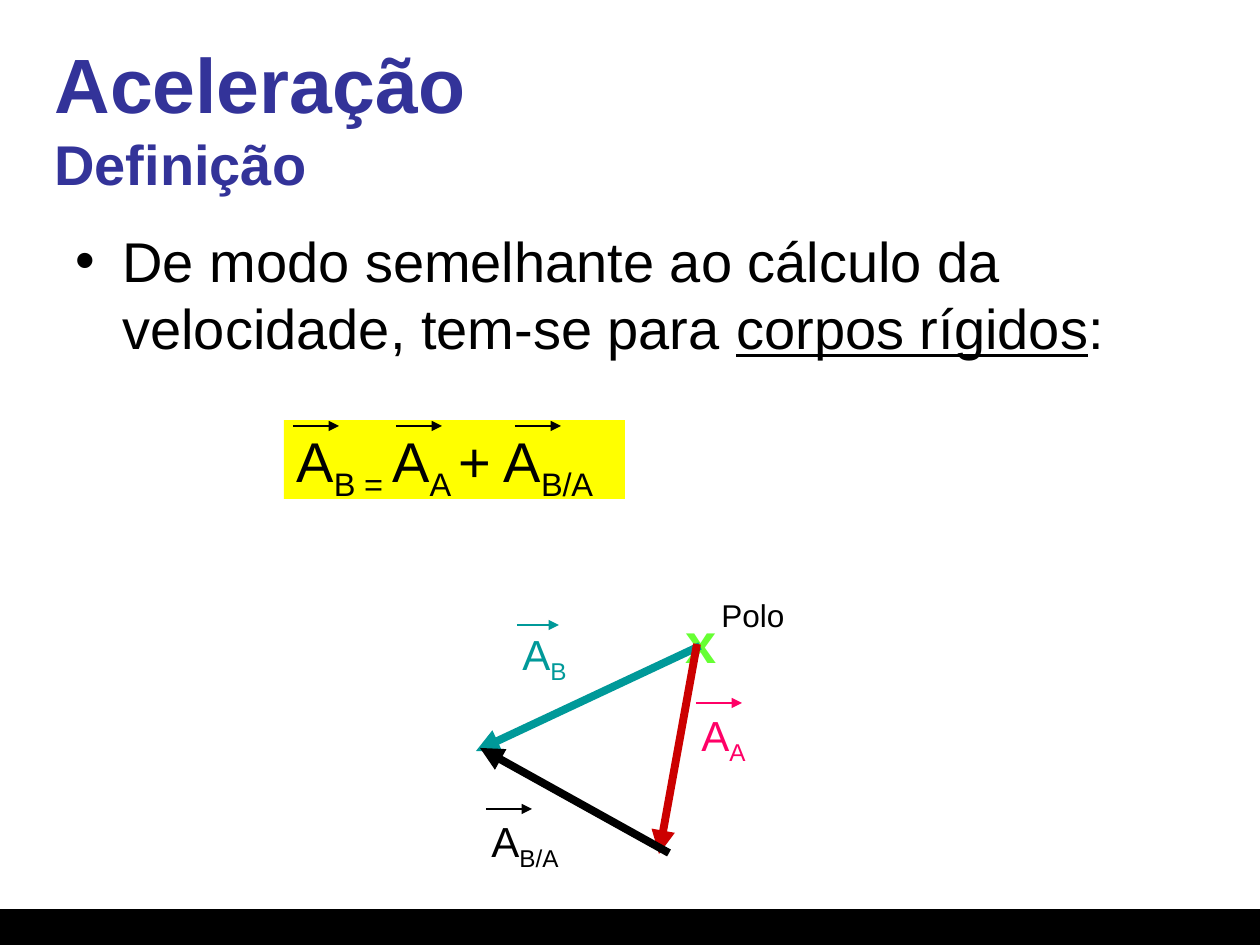
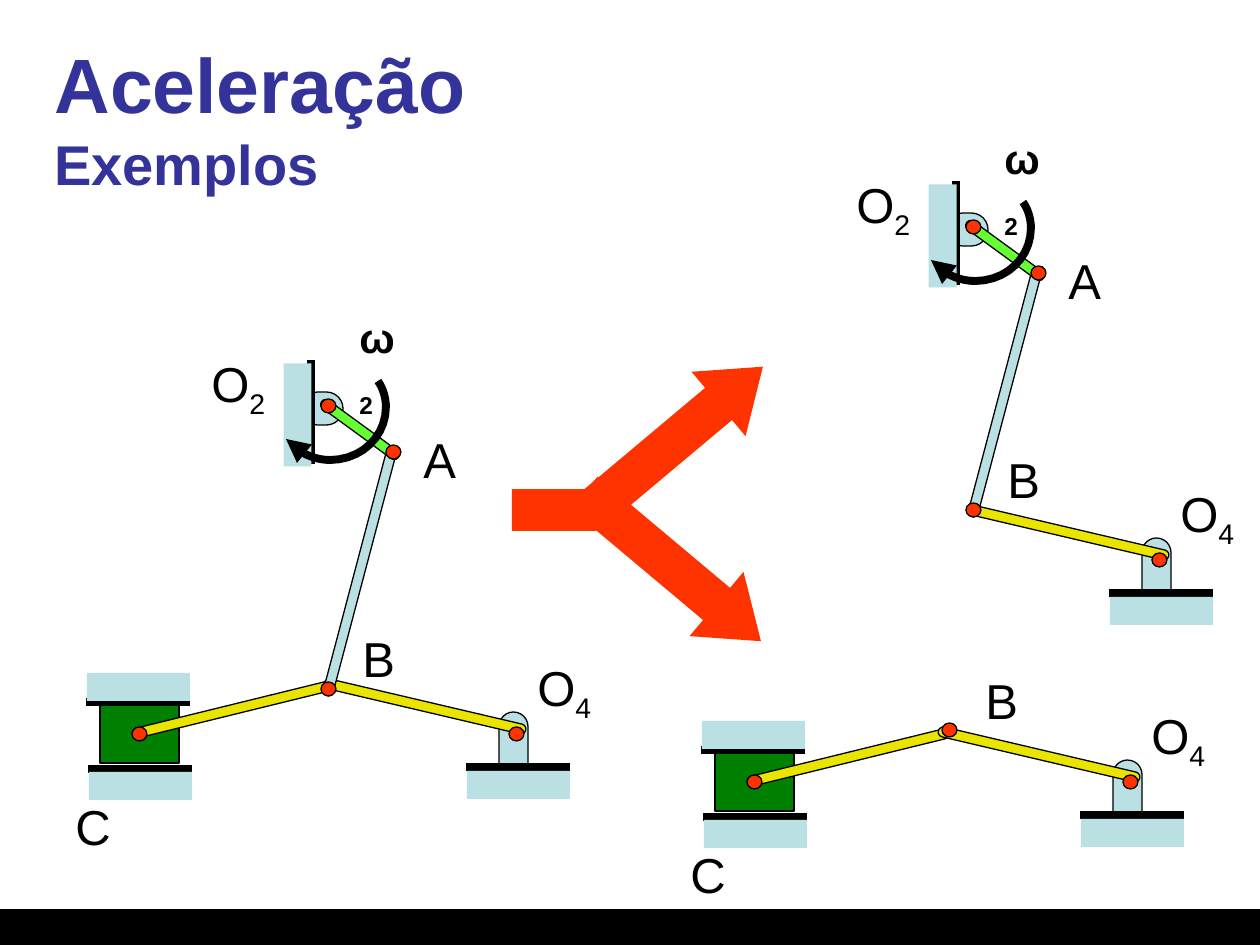
"""Two slides on acceleration: the vector definition and linkage examples."""
from lxml import etree
from pptx import Presentation
from pptx import util as u
from pptx.dml.color import RGBColor
from pptx.enum import shapes, text
from pptx.oxml.ns import qn

SCALE = 914400 / 126
FONT = "Arial"
COLORS = {
    "ink": "000000", "title": "333399", "paper": "FFFFFF", "formula": "FFFF00",
    "pole": "66FF33", "teal": "009999", "pink": "FF0066", "red": "CC0000",
    "steel": "BBE0E3", "crank": "66FF33", "joint": "FF3300", "rod": "E9E400",
    "piston": "008000",
}
KIND = shapes.MSO_SHAPE


def px(value):
    """Turn pixels into EMU."""
    return u.Emu(round(value * SCALE))


def color(name):
    """Look up a colour by name."""
    return RGBColor.from_string(COLORS[name])


def put_shape(page, kind, x, y, w, h, fill, outline=False, turn=0, adjust=()):
    """Add a preset shape with a flat fill and an optional thin outline."""
    shape = page.shapes.add_shape(kind, px(x), px(y), px(w), px(h))
    shape.shadow.inherit = False
    shape.rotation = turn
    for index, value in enumerate(adjust):
        shape.adjustments[index] = value
    shape.fill.solid()
    shape.fill.fore_color.rgb = color(fill)
    if outline:
        shape.line.color.rgb = color("ink")
        shape.line.width = u.Pt(0.75)
    else:
        shape.line.fill.background()
    return shape


def put_line(page, x1, y1, x2, y2, ink="ink", width=4.5, arrow=False):
    """Add a straight line, with an arrowhead at its end if asked."""
    line = page.shapes.add_connector(
        shapes.MSO_CONNECTOR.STRAIGHT, px(x1), px(y1), px(x2), px(y2))
    line.line.color.rgb = color(ink)
    line.line.width = u.Pt(width)
    if arrow:
        etree.SubElement(line.line._get_or_add_ln(), qn("a:tailEnd"), type="triangle")
    etree.SubElement(line._element.spPr, qn("a:effectLst"))


def add_span(para, words, size, ink="ink", bold=False, sub=False, underline=False):
    """Add one run of text to a paragraph."""
    span = para.add_run()
    span.text = words
    span.font.name = FONT
    span.font.size = u.Pt(size)
    span.font.bold = bold
    span.font.underline = underline
    span.font.color.rgb = color(ink)
    if sub:
        span._r.get_or_add_rPr().set("baseline", "-25000")


def fill_label(box, parts, size, ink="ink", bold=False, wrap=False):
    """Write parts that alternate between normal text and subscript."""
    frame = box.text_frame
    frame.word_wrap = wrap
    if not wrap:
        frame.auto_size = text.MSO_AUTO_SIZE.SHAPE_TO_FIT_TEXT
    frame.vertical_anchor = text.MSO_ANCHOR.TOP
    para = frame.paragraphs[0]
    para.alignment = text.PP_ALIGN.LEFT
    for index, words in enumerate(parts):
        add_span(para, words, size, ink, bold, sub=index % 2 == 1)


def put_label(page, x, y, w, h, parts, size=28, ink="ink", bold=False, wrap=False):
    """Add a text label with optional subscript."""
    box = page.shapes.add_textbox(px(x), px(y), px(w), px(h))
    fill_label(box, parts, size, ink, bold, wrap)


def new_page(deck, subtitle):
    """Add a slide with the shared title and bottom band."""
    page = deck.slides.add_slide(deck.slide_layouts[6])
    put_shape(page, KIND.RECTANGLE, 0, 910, 1260, 35, "ink", outline=True)
    box = page.shapes.add_textbox(px(42), px(38), px(1176), px(157))
    frame = box.text_frame
    frame.word_wrap = True
    frame.vertical_anchor = text.MSO_ANCHOR.MIDDLE
    para = frame.paragraphs[0]
    add_span(para, "Aceleração", 44, "title", bold=True)
    para.add_line_break()
    add_span(para, subtitle, 32, "title", bold=True)
    return page


def put_body(page, x, y, w, h):
    """Place the bulleted statement."""
    frame = page.shapes.add_textbox(px(x), px(y), px(w), px(h)).text_frame
    frame.word_wrap = True
    para = frame.paragraphs[0]
    para.space_before = u.Pt(6.4)
    props = para._p.get_or_add_pPr()
    props.set("marL", str(px(47)))
    props.set("indent", str(px(-47)))
    etree.SubElement(props, qn("a:buFont"), typeface=FONT)
    etree.SubElement(props, qn("a:buChar"), char="•")
    add_span(para, "De modo semelhante ao cálculo da velocidade, tem-se para ", 32)
    add_span(para, "corpos rígidos", 32, underline=True)
    add_span(para, ":", 32)


def put_formula(page, x, y, w, h):
    """Place the highlighted vector sum with an arrow over each term."""
    box = put_shape(page, KIND.RECTANGLE, x, y, w, h, "formula")
    fill_label(box, ["A", "B = ", "A", "A ", "+ A", "B/A"], 32)
    for start in (9, 112, 231):
        put_line(page, x + start, y + 6, x + start + 46, y + 6, width=0.75, arrow=True)


def put_vector_name(page, x, y, w, sub, ink, rise=0, length=46):
    """Place a vector name with its small arrow on top."""
    put_label(page, x, y, w, 63, ["A", sub], 24, ink)
    put_line(page, x + 7, y + rise, x + 7 + length, y + rise, ink, 0.75, arrow=True)


def put_triangle(page, x, y):
    """Place the triangle of acceleration vectors."""
    put_label(page, x + 194, y + 11, 57, 79, ["x"], 32, "pole", bold=True)
    put_vector_name(page, x + 31, y + 32, 72, "B", "teal", rise=3, length=42)
    put_vector_name(page, x + 210, y + 113, 72, "A", "pink")
    put_vector_name(page, x, y + 219, 98, "B/A", "ink")
    put_label(page, x + 230, y, 88, 50, ["Polo"], 18)
    put_line(page, x + 221, y + 56, x - 3, y + 161, "teal", arrow=True)
    put_line(page, x + 218, y + 54, x + 180, y + 264, "red", arrow=True)
    put_line(page, x + 190, y + 263, x + 1, y + 158, arrow=True)


def put_bar(page, x, y, length, fill, turn, width=10):
    """Place a round-ended bar, turned about its centre."""
    put_shape(page, KIND.ROUNDED_RECTANGLE, x, y, width, length, fill, True, turn, [0.5])


def put_joint(page, x, y):
    """Place a pin joint."""
    put_shape(page, KIND.OVAL, x, y, 15, 14, "joint", outline=True)


def put_wall(page, x, y, turn=0):
    """Place a block of fixed ground."""
    put_shape(page, KIND.RECTANGLE, x, y, 103, 28, "steel", turn=turn)


def bezier(p0, p1, p2, p3, steps=10):
    """Return points along a cubic curve after its start."""
    points = []
    for step in range(1, steps + 1):
        t = step / steps
        weights = ((1 - t) ** 3, 3 * t * (1 - t) ** 2, 3 * t * t * (1 - t), t ** 3)
        points.append(tuple(
            sum(k * p[axis] for k, p in zip(weights, (p0, p1, p2, p3))) for axis in (0, 1)))
    return points


def put_rotation(page, x, y):
    """Place the curved arrow of the crank's rotation."""
    knots = [(0, 58), (10, 71), (28, 79), (44, 79), (76, 79), (100, 55),
             (100, 26), (100, 17), (97, 7), (92, 0)]
    points = [p for i in (0, 3, 6) for p in bezier(*knots[i:i + 4])]
    builder = page.shapes.build_freeform(px(x), px(y + 58), scale=1.0)
    builder.add_line_segments([(px(x + a), px(y + b)) for a, b in points], close=False)
    arc = builder.convert_to_shape()
    arc.shadow.inherit = False
    arc.fill.background()
    arc.line.color.rgb = color("ink")
    arc.line.width = u.Pt(4.5)
    etree.SubElement(arc.line._get_or_add_ln(), qn("a:headEnd"), type="triangle")


def put_crank(page, x, y):
    """Place the driven crank O2-A and the coupler A-B."""
    put_shape(page, KIND.ROUNDED_RECTANGLE, x + 102, y + 87, 42, 33, "steel", True,
              adjust=[0.5])
    put_bar(page, x + 156, y + 137, 258, "steel", 14.8)
    put_bar(page, x + 156, y + 77, 95, "crank", 306.1)
    put_line(page, x + 112, y + 55, x + 112, y + 159)
    put_wall(page, x + 47, y + 96, turn=90)
    for left, top in ((122, 94), (122, 377), (187, 140)):
        put_joint(page, x + left, y + top)
    for left, top, width, parts in ((0, 42, 82, ["O", "2"]), (212, 118, 58, ["A"])):
        box = put_shape(page, KIND.RECTANGLE, x + left, y + top, width, 72, "paper")
        fill_label(box, parts, 28)
    put_label(page, x + 151, y + 317, 58, 72, ["B"])
    put_rotation(page, x + 87, y + 76)
    put_label(page, x + 148, y, 67, 63, ["ω", "2"], 24, bold=True, wrap=True)


def put_rocker(page, x, y):
    """Place the rocker B-O4 and its support."""
    put_bar(page, x + 178, y + 61, 82, "steel", 0, width=29)
    put_line(page, x + 145, y + 116, x + 249, y + 116)
    put_wall(page, x + 146, y + 120)
    put_bar(page, x + 99, y - 48, 207, "rod", 283.2)
    put_joint(page, x + 188, y + 76)
    put_label(page, x + 204, y, 82, 72, ["O", "4"])


def put_slider(page, x, y):
    """Place the piston C between its guides, with the rod to B."""
    put_shape(page, KIND.RECTANGLE, x + 37, y + 31, 79, 59, "piston", outline=True)
    put_bar(page, x + 165, y - 67, 207, "rod", 76.2)
    put_joint(page, x + 69, y + 54)
    for left, line_top, wall_top in ((25, 96, 99), (23, 29, 0)):
        put_line(page, x + left, y + line_top, x + left + 104, y + line_top)
        put_wall(page, x + left + 1, y + wall_top)
    put_label(page, x, y + 117, 60, 72, ["C"])


def put_split_arrow(page, x, y):
    """Place the forked arrow from the whole linkage to its two halves."""
    for left, top, turn in ((47, 0, 320), (45, 126, 40)):
        put_shape(page, KIND.RIGHT_ARROW, x + left, y + top, 231, 84, "joint",
                  turn=turn, adjust=[0.5, 0.69])
    put_shape(page, KIND.RECTANGLE, x, y + 90, 116, 42, "joint")


def definition_page(deck):
    """Build the slide that defines acceleration."""
    page = new_page(deck, "Definição")
    put_body(page, 63, 220, 1113, 381)
    put_formula(page, 284, 420, 341, 79)
    put_triangle(page, 479, 590)


def examples_page(deck):
    """Build the slide that splits a linkage in two."""
    page = new_page(deck, "Exemplos")
    put_slider(page, 63, 673)
    put_rocker(page, 321, 651)
    put_crank(page, 199, 305)
    put_rocker(page, 964, 477)
    put_crank(page, 844, 126)
    put_slider(page, 678, 721)
    put_rocker(page, 935, 699)
    put_joint(page, 942, 723)
    put_label(page, 973, 664, 58, 72, ["B"])
    put_split_arrow(page, 512, 399)


deck = Presentation()
deck.slide_width = px(1260)
deck.slide_height = px(945)
definition_page(deck)
examples_page(deck)
deck.save("out.pptx")
